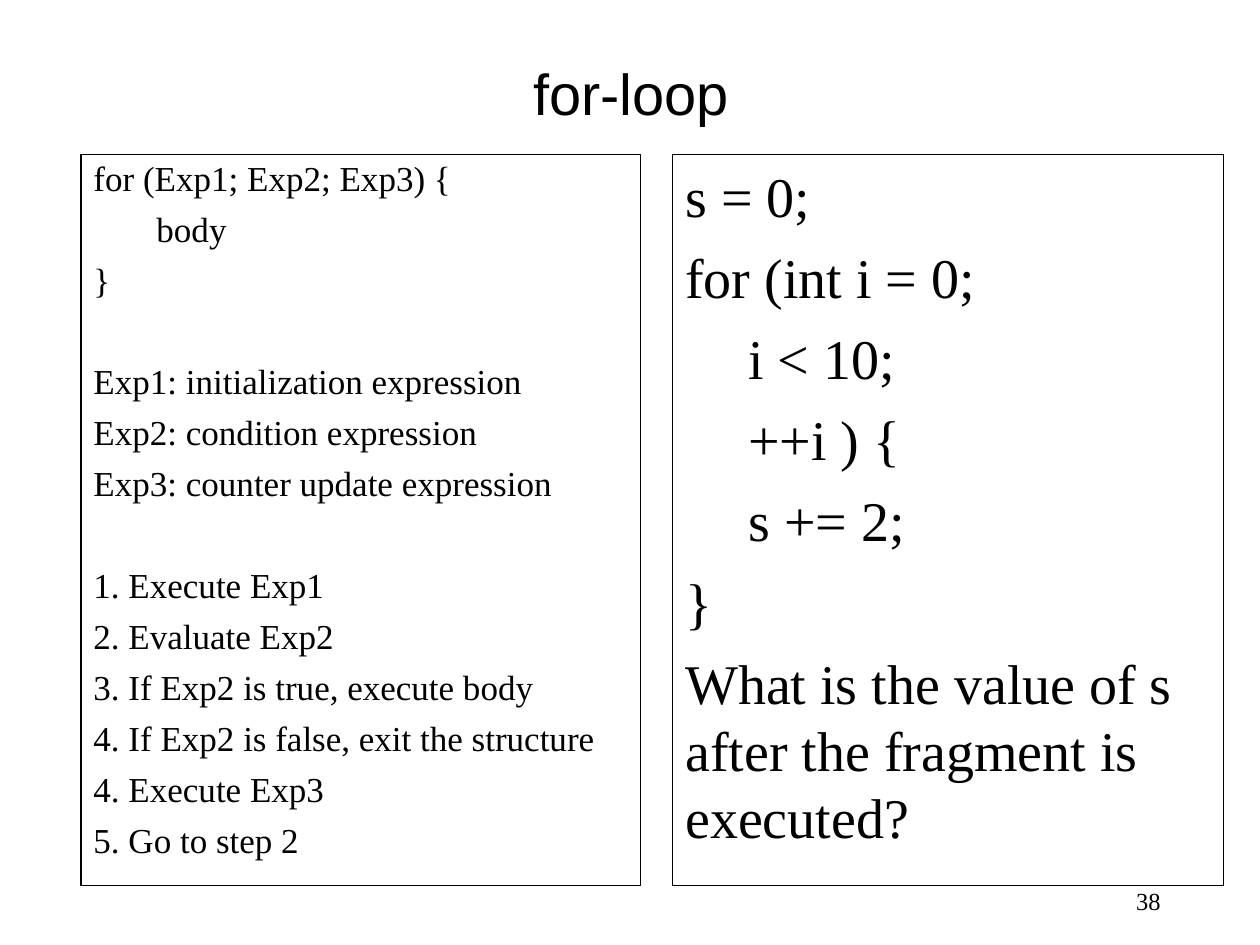
from lxml.etree import SubElement
from pptx import Presentation
from pptx.dml.color import RGBColor
from pptx.enum.text import MSO_ANCHOR, MSO_AUTO_SIZE, PP_ALIGN
from pptx.oxml.ns import qn
from pptx.util import Cm, Pt

BLACK = "000000"
SERIF = "Times New Roman"
PANEL_TOP, PANEL_HEIGHT = 3.12, 14.73

SYNTAX_GROUPS = [
    ["for (Exp1; Exp2; Exp3) {", "\tbody", "}"],
    ["Exp1: initialization expression",
     "Exp2: condition expression",
     "Exp3: counter update expression"],
    ["1. Execute Exp1",
     "2. Evaluate Exp2",
     "3. If Exp2 is true, execute body",
     "4. If Exp2 is false, exit the structure",
     "4. Execute Exp3",
     "5. Go to step 2"],
]
EXAMPLE_GROUPS = [
    ["s = 0;", "for (int i = 0;", "\ti < 10;", "\t++i ) {", "\ts += 2;", "}",
     "What is the value of s after the fragment is executed?"],
]


def color(value):
    return RGBColor.from_string(value)


def place(box, left, top, width, height):
    box.left, box.top = Cm(left), Cm(top)
    box.width, box.height = Cm(width), Cm(height)


def prepare_frame(box, anchor):
    frame = box.text_frame
    frame.word_wrap = True
    frame.auto_size = MSO_AUTO_SIZE.NONE
    frame.vertical_anchor = anchor
    return frame


def add_span(para, text, size, font=SERIF):
    span = para.add_run()
    span.text = text
    span.font.name = font
    span.font.size = Pt(size)
    span.font.color.rgb = color(BLACK)


def remove_bullet_and_set_tabs(para, tab_step):
    properties = para._p.get_or_add_pPr()
    properties.set("marL", "0")
    properties.set("indent", "0")
    SubElement(properties, qn("a:buNone"))
    tabs = SubElement(properties, qn("a:tabLst"))
    for number in range(8):
        SubElement(tabs, qn("a:tab"), pos=str(Cm(tab_step * number)), algn="l")


def fill_panel(box, groups, size, space, line_spacing, tab_step, group_space=0):
    """Write groups of lines into an outlined panel."""
    box.line.color.rgb = color(BLACK)
    box.line.width = Pt(0.75)
    frame = prepare_frame(box, MSO_ANCHOR.TOP)
    for group_index, group in enumerate(groups):
        for line_index, text in enumerate(group):
            first = group_index == line_index == 0
            para = frame.paragraphs[0] if first else frame.add_paragraph()
            remove_bullet_and_set_tabs(para, tab_step)
            para.line_spacing = line_spacing
            if first:
                para.space_before = Pt(0)
            else:
                para.space_before = Pt(space if line_index else group_space)
            add_span(para, text, size)


def add_line(box, text, size, align, font=SERIF):
    """Write one vertically centred line."""
    para = prepare_frame(box, MSO_ANCHOR.MIDDLE).paragraphs[0]
    para.alignment = align
    add_span(para, text, size, font)


def main():
    deck = Presentation()
    deck.slide_width, deck.slide_height = Cm(25.4), Cm(19.05)
    page = deck.slides.add_slide(deck.slide_layouts.get_by_name("Two Content"))
    title, syntax, example = page.placeholders

    # Title
    place(title, 1.78, 0.03, 21.89, 3.68)
    add_line(title, "for-loop", 33, PP_ALIGN.CENTER, "Arial")

    # Syntax and execution steps
    place(syntax, 1.63, PANEL_TOP, 11.28, PANEL_HEIGHT)
    fill_panel(syntax, SYNTAX_GROUPS, 20, 7.5, 0.9, 1.9, group_space=36.5)

    # Example with question
    place(example, 13.56, PANEL_TOP, 11.1, PANEL_HEIGHT)
    fill_panel(example, EXAMPLE_GROUPS, 32, 8, 1.0, 2.54)

    # Page number
    number = page.shapes.add_textbox(Cm(17.93), Cm(17.65), Cm(5.72), Cm(1.02))
    add_line(number, "38", 14, PP_ALIGN.RIGHT)

    deck.save("out.pptx")


if __name__ == "__main__":
    main()
